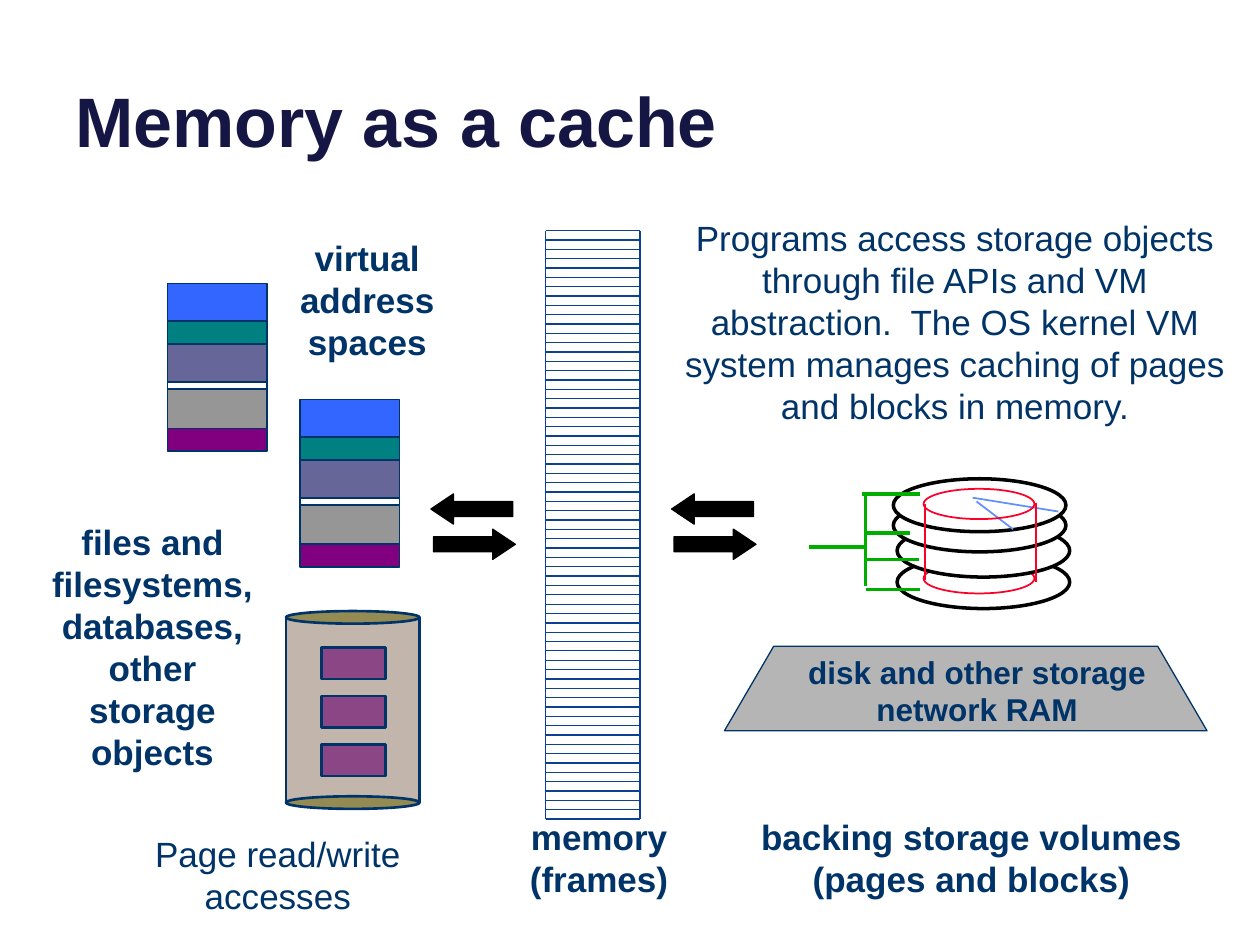
from lxml import etree
from pptx import Presentation
from pptx import util as u
from pptx.dml.color import RGBColor
from pptx.enum import shapes, text
from pptx.oxml.ns import qn

I = u.Inches
SHAPE = shapes.MSO_SHAPE
COLORS = {
    "title": "161645", "navy": "003367", "frame": "0C4093", "black": "000000",
    "white": "FFFFFF", "blue": "3366FF", "teal": "008080", "slate": "666699",
    "gray": "969696", "purple": "800080", "store": "C2B6AC", "lid": "948A54",
    "object": "8B4785", "base": "B5B5B5", "red": "FC0128", "arm": "618FFD",
    "green": "00AE00",
}


def rgb(name):
    return RGBColor.from_string(COLORS[name])


def add_text(parent, box, lines, size=20, bold=True, color="navy",
             align=text.PP_ALIGN.CENTER, anchor=text.MSO_ANCHOR.TOP,
             fit=text.MSO_AUTO_SIZE.SHAPE_TO_FIT_TEXT):
    tf = parent.add_textbox(*map(I, box)).text_frame
    for name, value in {"word_wrap": True, "auto_size": fit,
                        "vertical_anchor": anchor}.items():
        setattr(tf, name, value)
    for i, line in enumerate(lines):
        p = tf.add_paragraph() if i else tf.paragraphs[0]
        p.alignment = align
        r = p.add_run()
        r.text = line
        for name, value in {"name": "Arial", "size": u.Pt(size), "bold": bold}.items():
            setattr(r.font, name, value)
        r.font.color.rgb = rgb(color)


def add_shape(parent, kind, box, fill=None, line="navy", width=1.0, adjust=()):
    sp = parent.add_shape(kind, *map(I, box))
    sp.shadow.inherit = False
    if fill:
        sp.fill.solid()
        sp.fill.fore_color.rgb = rgb(fill)
    else:
        sp.fill.background()
    sp.line.color.rgb = rgb(line)
    sp.line.width = u.Pt(width)
    for i, value in enumerate(adjust):
        sp.adjustments[i] = value


def add_line(parent, x1, y1, x2, y2, color, width):
    c = parent.add_connector(shapes.MSO_CONNECTOR.STRAIGHT, *map(I, (x1, y1, x2, y2)))
    c.line.color.rgb = rgb(color)
    c.line.width = u.Pt(width)
    etree.SubElement(c._element.spPr, qn("a:effectLst"))


def add_memory(s):
    """Draw the column of equal page frames."""
    group = s.shapes.add_group_shape().shapes
    left, right, top, bottom, frames = 4.33, 5.08, 1.83, 6.5, 63
    for i in range(frames + 1):
        y = top + (bottom - top) * i / frames
        add_line(group, left, y, right, y, "frame", 0.75)
    for x in (left, right):
        add_line(group, x, bottom, x, top, "frame", 0.75)


def add_address_space(s, x, y):
    group = s.shapes.add_group_shape().shapes
    segments = [("blue", 0.3), ("teal", 0.18), ("slate", 0.3),
                ("white", 0.06), ("gray", 0.31), ("purple", 0.18)]
    for fill, height in segments:
        add_shape(group, SHAPE.FLOWCHART_PROCESS, (x, y, 0.79, height), fill)
        y += height


def add_object_store(s):
    """Draw the cylinder holding three storage objects."""
    add_shape(s.shapes, SHAPE.RECTANGLE, (2.27, 4.9, 1.06, 1.47), "store", width=1.5)
    for y in (4.85, 6.32):
        add_shape(s.shapes, SHAPE.OVAL, (2.27, y, 1.06, 0.1), "lid", width=1.5)
    for i in range(3):
        add_shape(s.shapes, SHAPE.RECTANGLE, (2.55, 5.14 + 0.385 * i, 0.51, 0.25),
                  "object", width=1.5)


def add_disk(s):
    """Draw the platters, the marked cylinder and the arm assembly."""
    group = s.shapes.add_group_shape().shapes

    def platter(x, y):
        add_shape(group, SHAPE.OVAL, (x, y, 1.37, 0.42), "white", "black", 2)

    def track(y):
        add_shape(group, SHAPE.OVAL, (7.33, y, 0.88, 0.24), line="red")

    platter(7.12, 4.41)
    track(4.47)
    for x, y in [(7.12, 4.16), (7.09, 3.96), (7.09, 3.8)]:
        platter(x, y)
    add_line(group, 7.75, 3.98, 8.04, 4.2, "arm", 1)
    add_line(group, 7.72, 3.95, 8.4, 4.06, "arm", 1)
    track(3.88)
    add_line(group, 7.34, 4, 7.34, 4.6, "red", 1)
    add_line(group, 8.22, 3.99, 8.22, 4.62, "red", 1)

    spine = 6.87
    add_line(group, spine, 3.92, spine, 4.65, "green", 2)
    for x1, x2, y in [(6.84, 7.3, 3.92), (spine, 7.22, 4.23), (spine, 7.29, 4.44),
                      (spine, 7.3, 4.68), (spine, 6.42, 4.34)]:
        add_line(group, x1, y, x2, y, "green", 2)


def add_transfer(s, x):
    """Draw a pair of opposite block arrows."""
    group = s.shapes.add_group_shape().shapes
    for kind, dx, y in [(SHAPE.LEFT_ARROW, 0, 3.92), (SHAPE.RIGHT_ARROW, 0.02, 4.2)]:
        add_shape(group, kind, (x + dx, y, 0.65, 0.24), "black", "black", 0.75,
                  (0.5, 0.748))


def main():
    prs = Presentation()
    prs.slide_width, prs.slide_height = I(10), I(7.5)
    s = prs.slides.add_slide(prs.slide_layouts[6])

    add_text(s.shapes, (0.5, -0.37, 9, 1.7), ["Memory as a cache"], 40, color="title",
             align=text.PP_ALIGN.LEFT, anchor=text.MSO_ANCHOR.BOTTOM,
             fit=text.MSO_AUTO_SIZE.NONE)
    add_memory(s)
    add_text(s.shapes, (3.92, 6.42, 1.67, 0.77), ["memory", "(frames)"])
    add_address_space(s, 1.33, 2.25)
    add_address_space(s, 2.38, 3.17)
    add_object_store(s)
    add_text(s.shapes, (2.25, 1.83, 1.33, 1.11), ["virtual address spaces"])
    add_text(s.shapes, (0.25, 4.08, 1.92, 2.12),
             ["files and filesystems,", "databases,", "other storage objects"])
    add_shape(s.shapes, SHAPE.TRAPEZOID, (5.75, 5.13, 3.83, 0.67), "base", width=0.75,
              adjust=(0.583,))
    add_text(s.shapes, (5.92, 5.13, 3.67, 0.71),
             ["disk and other storage", "network RAM"], 18)
    add_text(s.shapes, (0.58, 6.56, 3.25, 0.77), ["Page read/write accesses"], bold=False)
    add_disk(s)
    add_text(s.shapes, (5.92, 6.42, 3.58, 0.77),
             ["backing storage volumes", "(pages and blocks)"])
    add_text(s.shapes, (5.33, 1.67, 4.5, 1.78),
             ["Programs access storage objects through file APIs and VM abstraction.  "
              "The OS kernel VM system manages caching of pages and blocks in memory."],
             bold=False)
    for x in (3.42, 5.33):
        add_transfer(s, x)

    prs.save("out.pptx")


if __name__ == "__main__":
    main()
